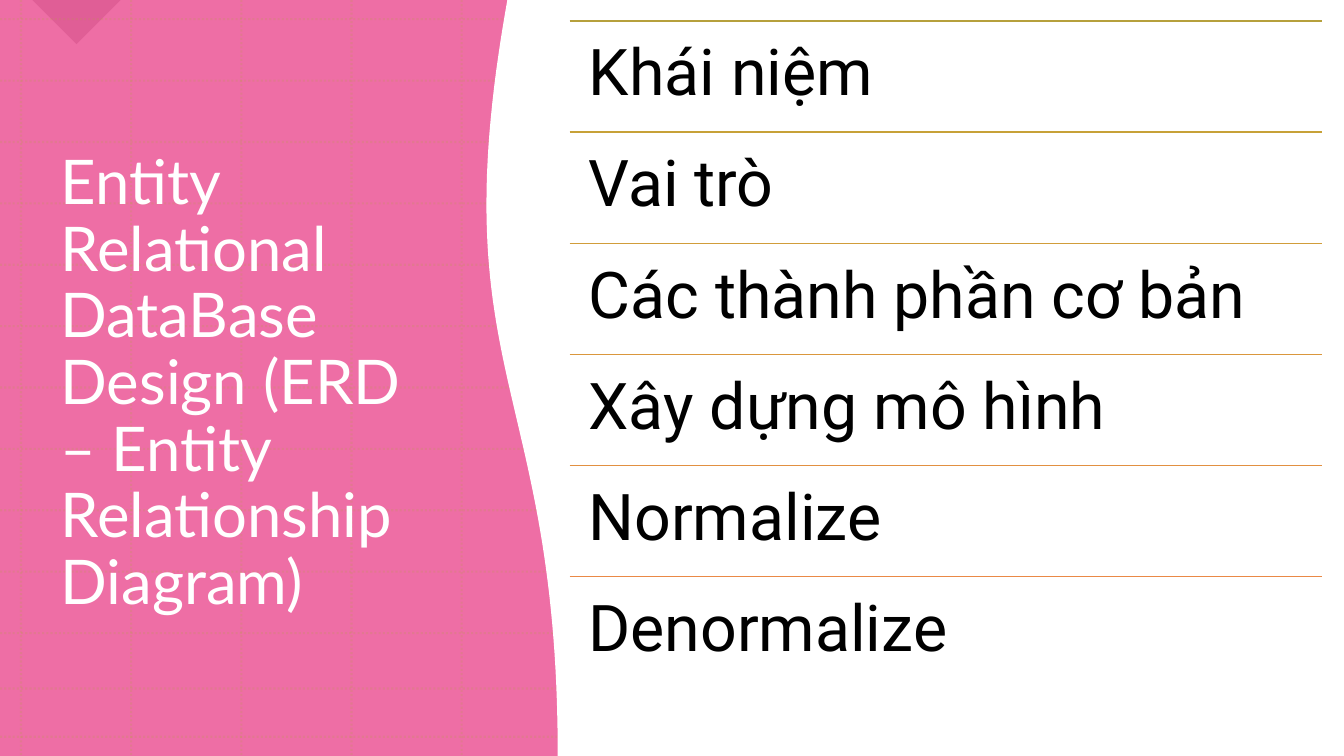
"""Builds the ERD agenda slide: a pink title panel beside six ruled topics."""
import pptx
import pptx.util
import pptx.dml.color
import pptx.enum.dml
import pptx.enum.shapes
import pptx.enum.text
import pptx.oxml
import pptx.oxml.ns

Pt = pptx.util.Pt
STRAIGHT = pptx.enum.shapes.MSO_CONNECTOR.STRAIGHT
PRESET = pptx.enum.shapes.MSO_SHAPE
WIDTH, HEIGHT = 960, 540


def paint(fill, color):
    fill.solid()
    fill.fore_color.rgb = pptx.dml.color.RGBColor.from_string(color)


def write(frame, text, font, size, color, inset, anchor):
    frame.word_wrap = True
    frame.auto_size = pptx.enum.text.MSO_AUTO_SIZE.NONE
    frame.vertical_anchor = anchor
    frame.margin_left = frame.margin_right = Pt(inset[0])
    frame.margin_top = frame.margin_bottom = Pt(inset[1])
    paragraph = frame.paragraphs[0]
    paragraph.alignment = pptx.enum.text.PP_ALIGN.LEFT
    paragraph.line_spacing = 0.9
    run = paragraph.add_run()
    run.text = text
    run.font.name = font
    run.font.size = Pt(size)
    paint(run.font.fill, color)


deck = pptx.Presentation()
deck.slide_width, deck.slide_height = Pt(WIDTH), Pt(HEIGHT)
slide = deck.slides.add_slide(deck.slide_layouts[5])
shapes = slide.shapes

panel = shapes.add_shape(PRESET.RECTANGLE, 0, 0, Pt(WIDTH), Pt(HEIGHT))
panel.shadow.inherit = False
paint(panel.fill, "EE6EA5")
panel.line.fill.background()

corner = shapes.add_shape(PRESET.RIGHT_TRIANGLE, Pt(32.4), Pt(-22.3), Pt(44.6), Pt(44.6))
corner.rotation = 315
corner.shadow.inherit = False
paint(corner.fill, "9C124D")
corner.line.fill.background()
translucent = [(corner, 17)]

columns = [15 + 78.7 * i for i in range(5)]
rows = [13.7 + 43.85 * i for i in range(11)] + [491.8, 526.3]
grid = [(x, 0, x, HEIGHT) for x in columns] + [(0, y, WIDTH, y) for y in rows]
for ends in grid:
    grid_line = shapes.add_connector(STRAIGHT, *map(Pt, ends))
    paint(grid_line.line.fill, "B6A03C")
    grid_line.line.width = Pt(1.5)
    grid_line.line.dash_style = pptx.enum.dml.MSO_LINE.ROUND_DOT
    translucent.append((grid_line, 20))

heading = shapes.title
heading.left, heading.top, heading.width, heading.height = map(Pt, (36, 56.9, 293.8, 435.6))
write(heading.text_frame,
      "Entity Relational DataBase Design (ERD – Entity Relationship Diagram)",
      font="Lato", size=44, color="FFFFFF", inset=(7.2, 3.6),
      anchor=pptx.enum.text.MSO_ANCHOR.MIDDLE)
heading.element.getparent().append(heading.element)

bends = [(398.9, 540), (398.9, 270.7), (314.6, 269.3), (362.9, 0)]
wave = []
for step in range(61):
    t = step / 60
    weights = ((1 - t) ** 3, 3 * t * (1 - t) ** 2, 3 * t ** 2 * (1 - t), t ** 3)
    wave.append(tuple(Pt(sum(w * bend[axis] for w, bend in zip(weights, bends)))
                      for axis in (0, 1)))
outline = shapes.build_freeform(Pt(WIDTH), 0)
outline.add_line_segments([(Pt(WIDTH), Pt(HEIGHT))] + wave, close=True)
page = outline.convert_to_shape()
page.shadow.inherit = False
paint(page.fill, "FFFFFF")
paint(page.line.fill, "FFFFFF")
page.line.width = Pt(1)

topics = [
    ("Khái niệm", "B6A03C"),
    ("Vai trò", "C7A138"),
    ("Các thành phần cơ bản", "D19D3A"),
    ("Xây dựng mô hình", "DA973D"),
    ("Normalize", "E29041"),
    ("Denormalize", "EA8946"),
]
topic_left, topic_width, topic_height = 406.8, 537.8, 79.4
for i, (topic, rule_color) in enumerate(topics):
    top = 15 + topic_height * i
    rule = shapes.add_connector(STRAIGHT, Pt(topic_left), Pt(top),
                                Pt(topic_left + topic_width), Pt(top))
    paint(rule.line.fill, rule_color)
    rule.line.width = Pt(1)
    label = shapes.add_textbox(Pt(topic_left), Pt(top), Pt(topic_width), Pt(topic_height))
    write(label.text_frame, topic, font="Roboto", size=46, color="000000",
          inset=(13.7, 13.7), anchor=pptx.enum.text.MSO_ANCHOR.TOP)

for shape, percent in translucent:
    tint = shape.element.find(".//" + pptx.oxml.ns.qn("a:srgbClr"))
    alpha = pptx.oxml.parse_xml(f'<a:alpha {pptx.oxml.ns.nsdecls("a")} val="{percent * 1000}"/>')
    tint.append(alpha)

for shape in shapes:
    if shape.shape_type == pptx.enum.shapes.MSO_SHAPE_TYPE.LINE:
        no_effect = pptx.oxml.parse_xml(f'<a:effectLst {pptx.oxml.ns.nsdecls("a")}/>')
        shape.element.spPr.append(no_effect)

deck.save("out.pptx")
